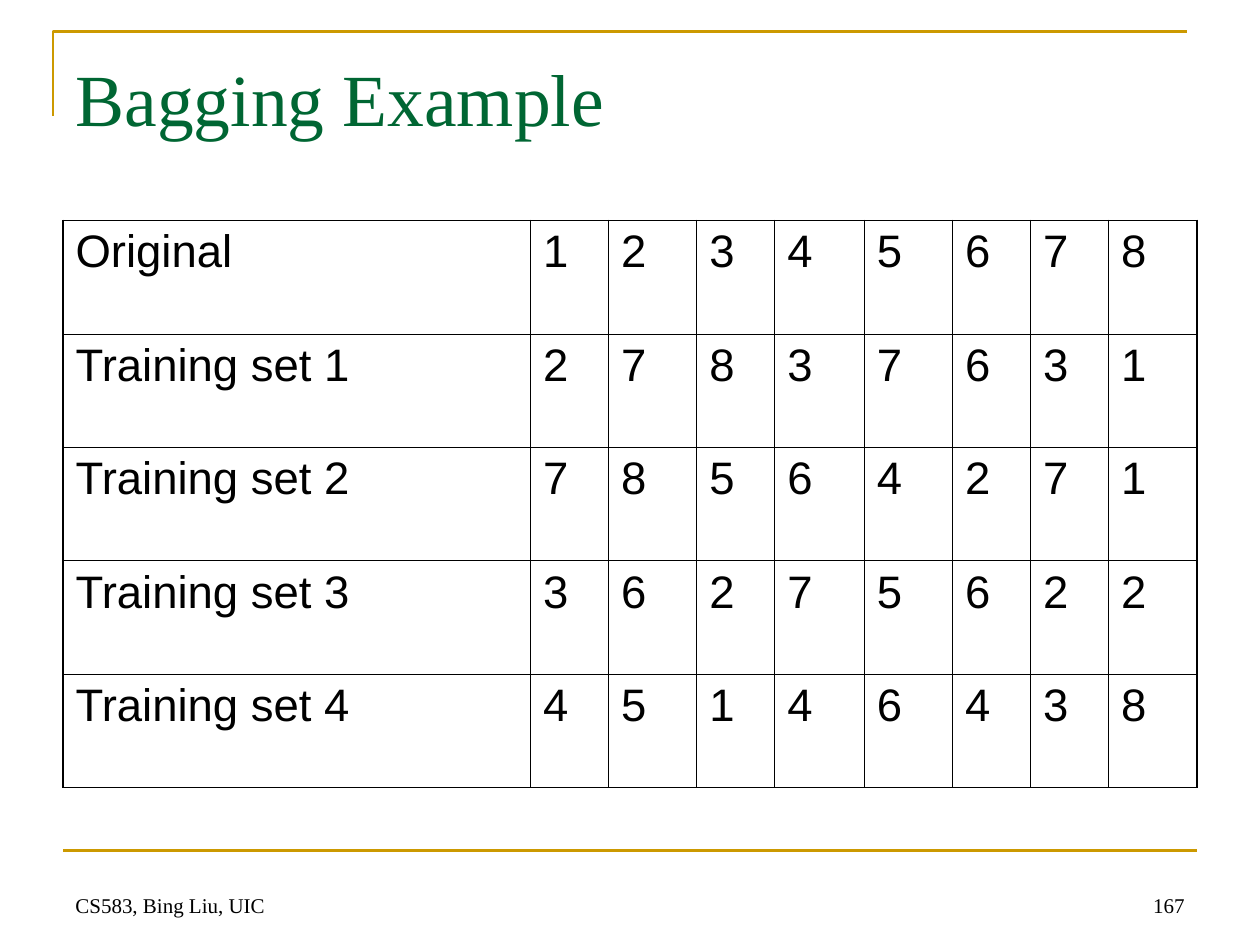
import pptx
import pptx.dml.color
import pptx.enum.shapes
import pptx.enum.text
import pptx.oxml.ns
import pptx.util
from lxml import etree

Inches = pptx.util.Inches
Pt = pptx.util.Pt
RGB = pptx.dml.color.RGBColor
Anchor = pptx.enum.text.MSO_ANCHOR
Align = pptx.enum.text.PP_ALIGN
qn = pptx.oxml.ns.qn

theme = {
    "gold": RGB.from_string("CC9900"),
    "rule": Pt(1.5),
    "ink": "000000",
    "thin": Pt(0.45),
    "thick": Pt(1.08),
    "title": {"name": "Times New Roman", "size": Pt(42), "color": "006633"},
    "foot": {"name": "Times New Roman", "size": Pt(12), "color": "000000"},
    "cell": {"name": "Arial", "size": Pt(26), "color": "000000"},
}


def format_text(para, text, look):
    para.text = text
    for key, value in look.items():
        if key == "color":
            para.font.color.rgb = RGB.from_string(value)
        else:
            setattr(para.font, key, value)


def add_edge(cell, side, width):
    props = cell._tc.get_or_add_tcPr()
    edge = etree.SubElement(props, qn("a:" + side), w=str(int(width)))
    fill = etree.SubElement(edge, qn("a:solidFill"))
    etree.SubElement(fill, qn("a:srgbClr"), val=theme["ink"])


deck = pptx.Presentation()
deck.slide_width, deck.slide_height = Inches(10), Inches(7.5)
slide = deck.slides.add_slide(deck.slide_layouts[5])
shapes = slide.shapes

path = shapes.build_freeform(Inches(0.42), Inches(0.92))
path.add_line_segments(
    [(Inches(0.42), Inches(0.25)), (Inches(9.42), Inches(0.25))], close=False
)
corner = path.convert_to_shape()
corner.fill.background()
corner.shadow.inherit = False
rule = shapes.add_connector(
    pptx.enum.shapes.MSO_CONNECTOR.STRAIGHT,
    Inches(0.5), Inches(6.75), Inches(9.5), Inches(6.75),
)
etree.SubElement(rule._element.spPr, qn("a:effectLst"))
for line in (corner.line, rule.line):
    line.color.rgb = theme["gold"]
    line.width = theme["rule"]

feet = [
    ("CS583, Bing Liu, UIC", 0.5, 6.08, Align.LEFT),
    ("167", 7.17, 2.33, Align.RIGHT),
]
for text, left, width, align in feet:
    box = shapes.add_textbox(Inches(left), Inches(6.83), Inches(width), Inches(0.5))
    frame = box.text_frame
    frame.word_wrap = True
    frame.vertical_anchor = Anchor.BOTTOM
    format_text(frame.paragraphs[0], text, theme["foot"])
    frame.paragraphs[0].alignment = align

title = shapes.title
place = {"left": 0.5, "top": 0.3, "width": 9, "height": 1.04}
for key, value in place.items():
    setattr(title, key, Inches(value))
frame = title.text_frame
frame.vertical_anchor = Anchor.TOP
frame.margin_top = Inches(0.12)
format_text(frame.paragraphs[0], "Bagging Example", theme["title"])
frame.paragraphs[0].alignment = Align.LEFT

rows = [
    ("Original", "12345678"),
    ("Training set 1", "27837631"),
    ("Training set 2", "78564271"),
    ("Training set 3", "36275622"),
    ("Training set 4", "45146438"),
]
widths = [3.71, 0.62, 0.7, 0.62, 0.71, 0.7, 0.62, 0.62, 0.7]
table = shapes.add_table(
    len(rows), len(widths), Inches(0.5), Inches(1.75), Inches(9), Inches(4.5)
).table
table.first_row = False
table.horz_banding = False
for column, width in zip(table.columns, widths):
    column.width = Inches(width)
for y, (label, draws) in enumerate(rows):
    table.rows[y].height = Inches(0.9)
    for x, text in enumerate([label, *draws]):
        cell = table.cell(y, x)
        format_text(cell.text_frame.paragraphs[0], text, theme["cell"])
        outer = {
            "lnL": x == 0,
            "lnR": x == len(widths) - 1,
            "lnT": y == 0,
            "lnB": y == len(rows) - 1,
        }
        for side, edge in outer.items():
            add_edge(cell, side, theme["thick" if edge else "thin"])
        cell.fill.background()

deck.save("out.pptx")
